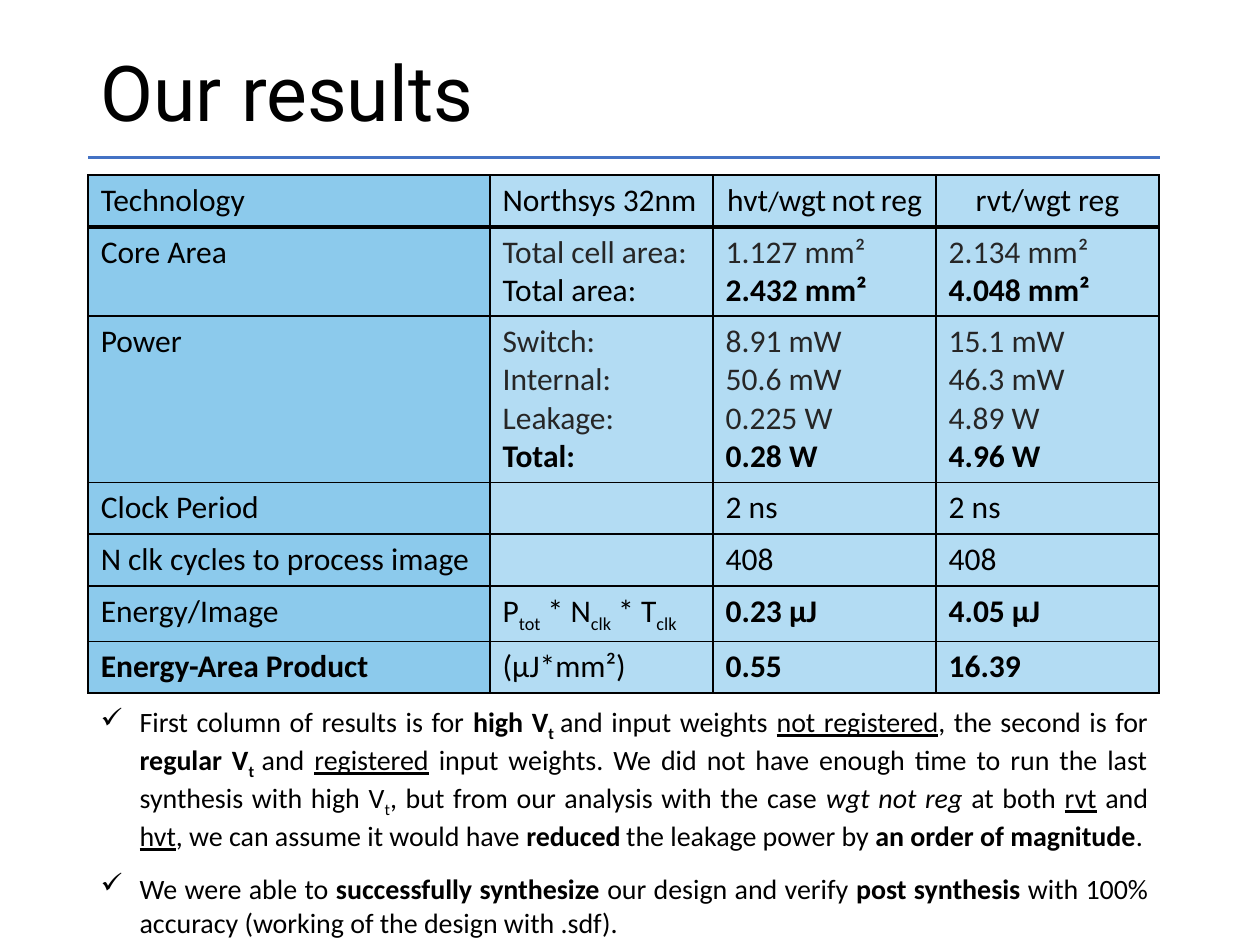
import dataclasses
import typing

import pptx
import pptx.dml.color
import pptx.enum.shapes
import pptx.enum.text
import pptx.oxml
import pptx.oxml.ns
import pptx.util

Inches = pptx.util.Inches
Pt = pptx.util.Pt
Align = pptx.enum.text.PP_ALIGN

COLORS = {"text": "000000", "detail": "262626", "label": "8CCAEC",
          "value": "B3DCF3", "rule": "4472C4"}
LEFT, WIDTH = 0.7, 8.51
COLUMN_WIDTHS = (3.19, 1.77, 1.77, 1.77)
ROW_HEIGHTS = (0.41, 0.71, 1.32, 0.41, 0.41, 0.44, 0.41)


@dataclasses.dataclass(frozen=True)
class Run:
    """A piece of text with the format that sets it apart."""
    text: str
    bold: bool = False
    italic: bool = False
    underline: bool = False
    subscript: bool = False
    color: str = "text"
    size: typing.Optional[float] = None


Line = typing.Tuple[Run, ...]
Cell = typing.Tuple[Line, ...]


def plain(*texts: str) -> Cell:
    """Return a cell with one plain line per text."""
    return tuple((Run(text),) for text in texts)


def bold(text: str) -> Cell:
    """Return a cell with one bold line."""
    return ((Run(text, bold=True),),)


def summary(*details: str, total: str, strong: bool = True) -> Cell:
    """Return a cell of grey detail lines closed by a total."""
    lines = tuple((Run(text, color="detail"),) for text in details)
    return lines + ((Run(total, bold=strong),),)


def sub(text: str, strong: bool = False) -> Run:
    """Return a subscript run."""
    return Run(text, bold=strong, subscript=True)


ROWS: typing.Tuple[typing.Tuple[Cell, ...], ...] = (
    (plain("Technology"), plain("Northsys 32nm"),
     ((Run("hvt"), Run("/", size=16), Run("wgt"), Run(" ", size=14),
       Run("not"), Run(" ", size=14), Run("reg")),),
     plain("rvt/wgt reg")),
    (plain("Core Area"),
     summary("Total cell area:", total="Total area:", strong=False),
     summary("1.127 mm²", total="2.432 mm²"),
     summary("2.134 mm²", total="4.048 mm²")),
    (plain("Power"),
     summary("Switch: Internal:", "Leakage:", total="Total:"),
     summary("8.91 mW", "50.6 mW", "0.225 W", total="0.28 W"),
     summary("15.1 mW", "46.3 mW", "4.89 W", total="4.96 W")),
    (plain("Clock Period"), (), plain("2 ns"), plain("2 ns")),
    (plain("N clk cycles to process image"), (), plain("408"), plain("408")),
    (plain("Energy/Image"),
     ((Run("P"), sub("tot"), Run(" * N"), sub("clk"), Run(" * T"), sub("clk")),),
     bold("0.23 µJ"), bold("4.05 µJ")),
    (bold("Energy-Area Product"), plain("(µJ*mm²)"), bold("0.55"), bold("16.39")),
)

NOTES: typing.Tuple[Line, ...] = (
    (Run("First column of results is for "), Run("high V", bold=True),
     sub("t ", strong=True), Run("and input weights "),
     Run("not registered", underline=True), Run(", the second is for "),
     Run("regular V", bold=True), sub("t ", strong=True), Run("and "),
     Run("registered", underline=True),
     Run(" input weights. We did not have enough time to run the last "
         "synthesis with high V"),
     sub("t"), Run(", but from our analysis with the case "),
     Run("wgt not reg ", italic=True), Run("at both "),
     Run("rvt", underline=True), Run(" and "), Run("hvt", underline=True),
     Run(", we can assume it would have "), Run("reduced", bold=True),
     Run(" ", bold=True, size=14), Run("the leakage power by "),
     Run("an order of magnitude", bold=True), Run(".")),
    (Run("We were able to"), Run(" successfully synthesize ", bold=True),
     Run("our design and verify "), Run("post synthesis ", bold=True),
     Run("with 100% accuracy (working of the design with .sdf).")),
)


def add_text(paragraph, text: str, *, size: float, font: str = "Calibri",
             color: str = "text", bold: bool = False, italic: bool = False,
             underline: bool = False, subscript: bool = False) -> None:
    """Add one formatted run to a paragraph."""
    run = paragraph.add_run()
    run.text = text
    run.font.name = font
    run.font.size = Pt(size)
    run.font.bold = bold
    run.font.italic = italic
    run.font.underline = underline
    run.font.color.rgb = pptx.dml.color.RGBColor.from_string(COLORS[color])
    if subscript:
        run.font._element.set("baseline", "-25000")


def fill_frame(frame, lines: typing.Sequence[Line], size: float) -> None:
    """Write lines into a text frame, one paragraph each."""
    for index, line in enumerate(lines):
        paragraph = frame.add_paragraph() if index else frame.paragraphs[0]
        for run in line:
            options = dataclasses.asdict(run)
            options["size"] = run.size or size
            add_text(paragraph, **options)


def add_frame(slide, left: float, top: float, width: float, height: float):
    """Add a wrapping text box and return its frame."""
    shape = slide.shapes.add_textbox(Inches(left), Inches(top),
                                     Inches(width), Inches(height))
    shape.text_frame.word_wrap = True
    return shape.text_frame


def set_border(cell, side: str, points: float) -> None:
    """Draw one side of a cell border; side is L, R, T or B."""
    cell._tc.get_or_add_tcPr().append(pptx.oxml.parse_xml(
        f'<a:ln{side} {pptx.oxml.ns.nsdecls("a")} w="{int(Pt(points))}">'
        f'<a:solidFill><a:srgbClr val="{COLORS["text"]}"/></a:solidFill>'
        f'</a:ln{side}>'))


def add_bullet(paragraph, indent: float) -> None:
    """Give a paragraph a check mark with a hanging indent."""
    properties = paragraph._p.get_or_add_pPr()
    properties.set("marL", str(Inches(indent)))
    properties.set("indent", str(-Inches(indent)))
    properties.append(pptx.oxml.parse_xml(
        f'<a:buChar {pptx.oxml.ns.nsdecls("a")} char="✓"/>'))


def add_title(slide) -> None:
    """Add the heading and the rule below it."""
    frame = add_frame(slide, LEFT, 0.04, 8.62, 1.45)
    frame.vertical_anchor = pptx.enum.text.MSO_ANCHOR.MIDDLE
    frame.paragraphs[0].line_spacing = 0.9
    add_text(frame.paragraphs[0], "Our results", size=44, font="Roboto")
    rule = slide.shapes.add_connector(
        pptx.enum.shapes.MSO_CONNECTOR.STRAIGHT, Inches(LEFT), Inches(1.25),
        Inches(LEFT + WIDTH), Inches(1.25))
    rule.line.width = Pt(2.25)
    rule.line.color.rgb = pptx.dml.color.RGBColor.from_string(COLORS["rule"])
    rule._element.spPr.append(pptx.oxml.parse_xml(
        f'<a:effectLst {pptx.oxml.ns.nsdecls("a")}/>'))


def add_results(slide) -> None:
    """Add the table of results."""
    table = slide.shapes.add_table(
        len(ROWS), len(COLUMN_WIDTHS), Inches(LEFT), Inches(1.39),
        Inches(WIDTH), Inches(sum(ROW_HEIGHTS))).table
    table.first_row = table.horz_banding = False
    for column, width in zip(table.columns, COLUMN_WIDTHS):
        column.width = Inches(width)
    for row_index, row in enumerate(ROWS):
        table.rows[row_index].height = Inches(ROW_HEIGHTS[row_index])
        for column_index, lines in enumerate(row):
            cell = table.cell(row_index, column_index)
            fill_frame(cell.text_frame, lines, 18)
            if row_index == 0 and column_index >= 2:
                cell.text_frame.paragraphs[0].alignment = Align.CENTER
            for side in "LRTB":
                under_header = (row_index, side) in ((0, "B"), (1, "T"))
                set_border(cell, side, 2.25 if under_header else 1)
            cell.fill.solid()
            cell.fill.fore_color.rgb = pptx.dml.color.RGBColor.from_string(
                COLORS["value" if column_index else "label"])


def add_notes(slide) -> None:
    """Add the checked remarks under the table."""
    frame = add_frame(slide, LEFT, 5.54, WIDTH, 2.17)
    fill_frame(frame, NOTES, 16)
    for paragraph in frame.paragraphs:
        paragraph.alignment = Align.JUSTIFY
        add_bullet(paragraph, 0.31)
    frame.paragraphs[0].space_after = Pt(11)


presentation = pptx.Presentation()
presentation.slide_width, presentation.slide_height = Inches(10), Inches(7.5)
results_slide = presentation.slides.add_slide(presentation.slide_layouts[6])
add_title(results_slide)
add_results(results_slide)
add_notes(results_slide)
presentation.save("out.pptx")
